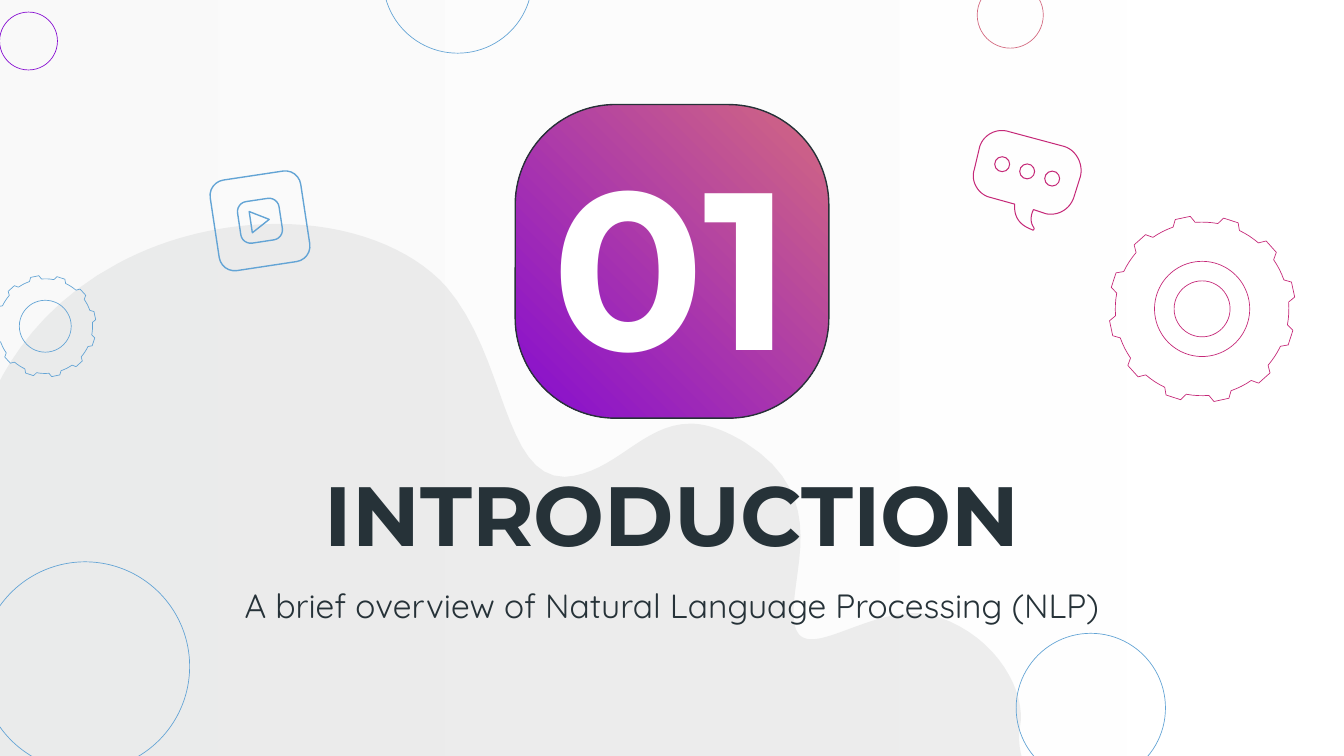
from math import cos, radians, sin

from lxml import etree
from pptx import Presentation
from pptx.dml.color import RGBColor
from pptx.enum import shapes as kinds, text as txt
from pptx.oxml.ns import qn
from pptx.util import Pt

HEX = {"ink": "263238", "blue": "63A4D5", "violet": "860CD1", "rose": "D36980",
       "pink": "C52878", "white": "FFFFFF", "mist": "F3F3F3", "cloud": "D6D7D7"}
KIND = kinds.MSO_SHAPE
FRAME = {"word_wrap": True, "auto_size": txt.MSO_AUTO_SIZE.NONE,
         "vertical_anchor": txt.MSO_ANCHOR.MIDDLE,
         "margin_left": Pt(7.2), "margin_right": Pt(7.2),
         "margin_top": Pt(7.2), "margin_bottom": Pt(7.2)}

# Outlines in points: a pair is a line end, six numbers are a Bezier curve.
HILL = [(149, 120), (186.5, 120, 220, 132.5, 239, 153.5),
        (271.5, 191, 269.5, 255.5, 302.5, 255.5),
        (329.5, 254, 344, 227, 370, 227), (378, 227, 387.5, 230, 399, 237),
        (447, 267, 422, 308, 425.5, 334), (427, 340.5, 430, 342.5, 435, 342.5),
        (447, 342.5, 468.5, 328.5, 490.5, 328.5),
        (494.5, 328.5, 498.5, 329, 502.5, 330.5),
        (535, 341.5, 550, 371.5, 546.5, 389.5),
        (543, 407.5, 558.5, 430, 558.5, 430), (-18, 430),
        (-18, 430, -26.5, 313, -12, 235.5), (-12, 235.5, -1, 175, 63.5, 141),
        (90.5, 126.5, 121, 120, 149, 120)]
SPEECH = [(10.6, 36.8), (23.6, 40.4), (22.9, 49.8, 29.4, 52.7, 33, 54.1),
          (33.7, 54.8, 34.4, 53.4, 33.7, 52.7),
          (30.8, 48.4, 33.7, 43.3, 33.7, 43.3), (40.2, 45.5),
          (46.6, 46.9, 53.1, 43.3, 55.3, 36.8), (58.9, 25.3),
          (60.3, 18.8, 56.7, 11.6, 50.2, 9.5), (20.7, 1.6),
          (14.2, -0.6, 7, 3, 4.9, 9.5), (2, 21.7),
          (-0.2, 28.2, 4.2, 35.4, 10.6, 36.8)]


def tint(name):
    return RGBColor.from_string(HEX[name])


def paint(shape, line=None, width=0.36, fill=None, angle=0, alpha=None):
    """Set line and fill; a pair of fill names makes a gradient."""
    shape.shadow.inherit = False
    if line:
        shape.line.color.rgb = tint(line)
        shape.line.width = Pt(width)
    else:
        shape.line.fill.background()
    if isinstance(fill, tuple):
        shape.fill.gradient()
        shape.fill.gradient_angle = angle
        for stop, name in zip(shape.fill.gradient_stops, fill):
            stop.color.rgb = tint(name)
    elif fill:
        shape.fill.solid()
        shape.fill.fore_color.rgb = tint(fill)
    else:
        shape.fill.background()
    if alpha:
        for tone in shape._element.spPr.iter(qn("a:srgbClr")):
            etree.SubElement(tone, qn("a:alpha")).set("val", str(alpha * 1000))
    return shape


def preset(slide, kind, box, turn=0, curve=None, **look):
    shape = slide.shapes.add_shape(kind, *map(Pt, box))
    shape.rotation = turn
    if curve is not None:
        shape.adjustments[0] = curve
    return paint(shape, **look)


def ring(slide, x, y, r, **look):
    return preset(slide, KIND.OVAL, (x - r, y - r, 2 * r, 2 * r), **look)


def trace(steps, count=16):
    """Turn lines and Bezier curves into a list of points."""
    dots = [steps[0]]
    for step in steps[1:]:
        if len(step) == 2:
            dots.append(step)
            continue
        ends = [dots[-1], step[:2], step[2:4], step[4:]]
        for i in range(1, count + 1):
            t = i / count
            mix = ((1 - t) ** 3, 3 * t * (1 - t) ** 2, 3 * t * t * (1 - t), t ** 3)
            dots.append(tuple(sum(m * e[k] for m, e in zip(mix, ends))
                              for k in (0, 1)))
    return dots


def outline(slide, dots, x, y, **look):
    dots = [(Pt(x + a), Pt(y + b)) for a, b in dots]
    form = slide.shapes.build_freeform(*dots[0])
    form.add_line_segments(dots[1:], close=True)
    return paint(form.convert_to_shape(), **look)


def gear(slide, box, holes, line):
    """Draw twelve teeth with round holes given as shares of the radius."""
    x, y, size = box
    r = size / 2
    rim = [(-7.5, 0.93), (-4.7, 1), (4.7, 1), (7.5, 0.93),
           (11.25, 0.93), (15, 0.93), (18.75, 0.93)]
    dots = [(r * k * cos(radians(a + 12 + 30 * n)),
             r * k * sin(radians(a + 12 + 30 * n)))
            for n in range(12) for a, k in rim]
    # Teeth lean a little above the horizontal axis.
    dots = [(a, -b) for a, b in dots]
    outline(slide, dots, x + r, y + r, line=line)
    for hole in holes:
        ring(slide, x + r, y + r, r * hole, line=line)


def write(frame, words, size, font, color, bold=False):
    for key, value in FRAME.items():
        setattr(frame, key, value)
    para = frame.paragraphs[0]
    para.alignment = txt.PP_ALIGN.CENTER
    run = para.add_run()
    run.text = words
    look = {"size": Pt(size), "name": font, "bold": bold}
    for key, value in look.items():
        setattr(run.font, key, value)
    run.font.color.rgb = tint(color)


def backdrop(slide, box):
    x, y, w, h = box
    preset(slide, KIND.RECTANGLE, (x - 5, y - 5, w + 10, h + 10),
           fill=("white", "mist"), angle=180, alpha=41)
    outline(slide, trace(HILL), x, y, fill="cloud", alpha=41)
    for cx, cy, r, line in [(584.4, 379.3, 40, "blue"), (15.3, 22, 15.5, "violet"),
                            (541.2, 8.1, 17.7, "rose"), (245.2, -11.5, 40, "blue"),
                            (45.6, 357, 56, "blue")]:
        ring(slide, x + cx, y + cy, r, line=line)
    gear(slide, (x - 3, y + 147.5, 54.5), [0.51], "blue")
    gear(slide, (x + 594, y + 115.5, 100), [0.51, 0.3], "pink")


def badge(slide, box):
    card = preset(slide, KIND.ROUNDED_RECTANGLE, box, curve=0.32, line="ink",
                  width=0.75, fill=("rose", "violet"), angle=225)
    write(card.text_frame, "01", 120, "Montserrat", "white", True)
    card.text_frame.word_wrap = False


def player(slide, box):
    x, y, size = box
    mid, tilt = size / 2, -8.6
    for kind, w, h, turn, curve in [
            (KIND.ROUNDED_RECTANGLE, size, size, tilt, 0.17),
            (KIND.ROUNDED_RECTANGLE, 22.5, 22.5, tilt, 0.24),
            (KIND.ISOSCELES_TRIANGLE, 11.5, 10, 90 + tilt, None)]:
        preset(slide, kind, (x + mid - w / 2, y + mid - h / 2, w, h),
               turn, curve, line="blue", width=0.75)


def bubble(slide, x, y):
    look = {"line": "pink", "width": 0.54}
    outline(slide, trace(SPEECH), x, y, **look)
    for i in range(3):
        ring(slide, x + 16.9 + 13.4 * i, y + 19 + 3.85 * i, 4, **look)


def heading(slide, box):
    """Place the title and the subtitle below it."""
    x, y, w, h = box
    title = slide.shapes.title
    spots = {"left": x, "top": y, "width": w, "height": h}
    for key, value in spots.items():
        setattr(title, key, Pt(value))
    write(title.text_frame, "INTRODUCTION", 45, "Montserrat", "ink", True)
    slide.shapes._spTree.append(title._element)
    note = slide.shapes.add_textbox(Pt(x + 26.5), Pt(y + 57.5), Pt(w - 53), Pt(49))
    write(note.text_frame, "A brief overview of Natural Language Processing (NLP)",
          18, "Quicksand", "ink")


def main():
    deck = Presentation()
    deck.slide_width, deck.slide_height = Pt(720), Pt(405)
    slide = deck.slides.add_slide(deck.slide_layouts[5])
    backdrop(slide, (0, 0, 720, 405))
    badge(slide, (276, 56, 168, 168))
    heading(slide, (90, 242, 540, 66))
    player(slide, (114.8, 93.8, 49))
    bubble(slide, 520, 69)
    deck.save("out.pptx")


if __name__ == "__main__":
    main()
